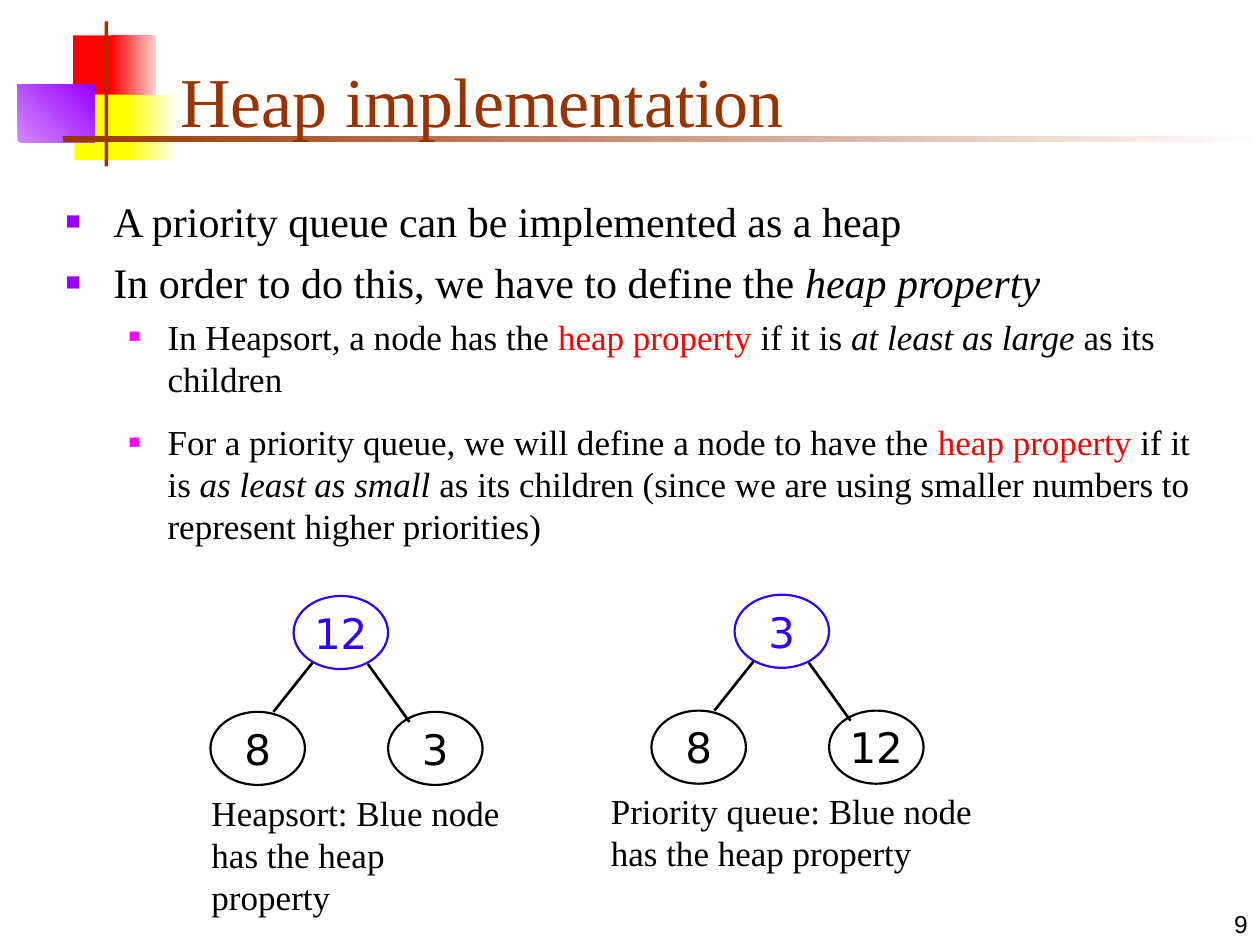
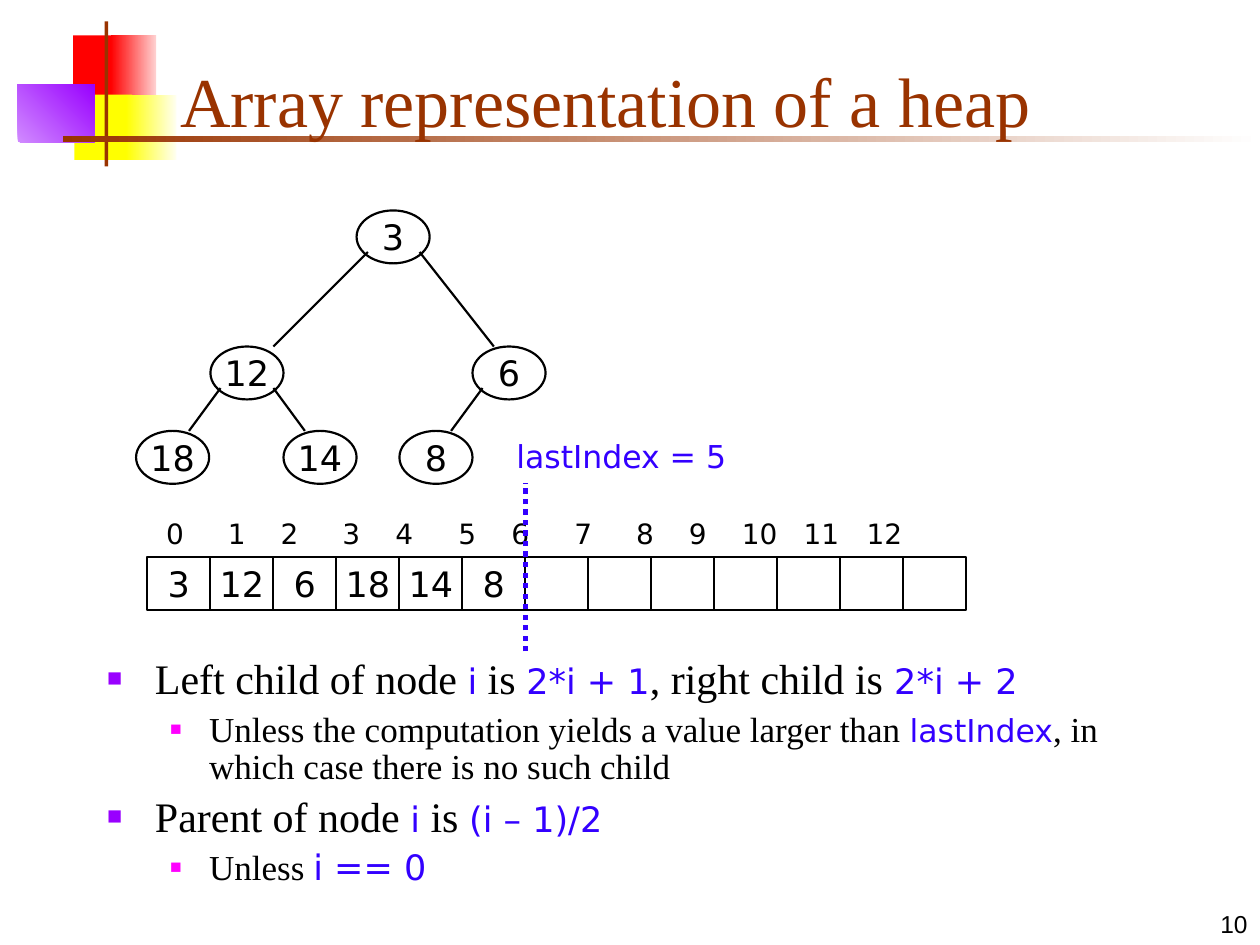
"""Builds two slides on heaps: the heap property and the array form."""
from dataclasses import dataclass
from lxml.etree import SubElement
from pptx import Presentation
from pptx.dml.color import RGBColor
from pptx.enum.dml import MSO_LINE
from pptx.enum.shapes import MSO_CONNECTOR, MSO_SHAPE
from pptx.enum.text import MSO_ANCHOR, MSO_AUTO_SIZE, PP_ALIGN
from pptx.oxml.ns import qn
from pptx.util import Inches, Pt


@dataclass(frozen=True)
class Theme:
    black: RGBColor = RGBColor.from_string("000000")
    brown: RGBColor = RGBColor.from_string("993300")
    blue: RGBColor = RGBColor.from_string("3300FF")
    red: RGBColor = RGBColor.from_string("FF0000")
    pink: RGBColor = RGBColor.from_string("FFD1D1")
    yellow: RGBColor = RGBColor.from_string("FFFF00")
    cream: RGBColor = RGBColor.from_string("FFFFF0")
    lilac: RGBColor = RGBColor.from_string("D18BFF")
    purple: RGBColor = RGBColor.from_string("9900FF")
    white: RGBColor = RGBColor.from_string("FFFFFF")
    serif: str = "Times New Roman"
    sans: str = "DejaVu Sans"
    plain: str = "Arial"
    title: int = 40
    large: int = 24
    mid: int = 20
    small: int = 18
    index: int = 16
    page: int = 14


theme = Theme()
styles = {
    "em": (None, None, None, True),
    "key": (None, None, theme.red, None),
    "code": (theme.sans, theme.mid, theme.blue, None),
    "name": (theme.sans, theme.small, theme.blue, None),
}
levels = [
    (0.38, -0.38, "9900FF", 60, theme.large),
    (0.81, -0.31, "FF00FF", 55, theme.mid),
]


def add_node(slide, kind, x, y, wide, high, text, size, color):
    node = slide.shapes.add_shape(kind, Inches(x), Inches(y), Inches(wide), Inches(high))
    node.shadow.inherit = False
    node.fill.background()
    node.line.color.rgb = color
    node.line.width = Pt(1.25)
    if text:
        frame = node.text_frame
        frame.word_wrap = False
        frame.vertical_anchor = MSO_ANCHOR.MIDDLE
        para = frame.paragraphs[0]
        para.text = text
        para.alignment = PP_ALIGN.CENTER
        para.font.name, para.font.size = theme.sans, Pt(size)
        para.font.color.rgb = color


def add_list(body, box, items, gaps, pitch):
    body.left, body.top, body.width, body.height = map(Inches, box)
    frame = body.text_frame
    frame.auto_size = MSO_AUTO_SIZE.NONE
    for n, (level, parts) in enumerate(items):
        para = frame.add_paragraph() if n else frame.paragraphs[0]
        left, hang, tint, scale, size = levels[level]
        para.level = level
        props = para._p.get_or_add_pPr()
        props.set("marL", str(Inches(left)))
        props.set("indent", str(Inches(hang)))
        SubElement(SubElement(props, qn("a:buClr")), qn("a:srgbClr")).set("val", tint)
        SubElement(props, qn("a:buSzPct")).set("val", str(scale * 1000))
        SubElement(props, qn("a:buChar")).set("char", "■")
        para.space_before = Pt(gaps[level] if n else 0)
        para.line_spacing = pitch
        para.font.name, para.font.size = theme.serif, Pt(size)
        para.font.color.rgb = theme.black
        for text, *style in parts:
            run = para.add_run()
            run.text = text
            if style:
                face, points, color, slant = styles[style[0]]
                run.font.name, run.font.italic = face, slant
                run.font.size = Pt(points) if points else None
                if color is not None:
                    run.font.color.rgb = color


deck = Presentation()
deck.slide_width, deck.slide_height = Inches(10), Inches(7.5)
heap = deck.slides.add_slide(deck.slide_layouts[3])
array = deck.slides.add_slide(deck.slide_layouts[1])

bands = [
    (0.58, 0.28, 0.35, 0.52, theme.red, None, 0),
    (0.88, 0.28, 0.36, 0.52, theme.red, theme.pink, 0),
    (0.59, 0.75, 0.46, 0.52, theme.yellow, None, 0),
    (1, 0.75, 0.4, 0.52, theme.yellow, theme.cream, 0),
    (0.14, 0.67, 0.61, 0.46, theme.lilac, theme.purple, 45),
    (0.83, 0.17, 0.03, 1.15, theme.brown, None, 0),
    (0.5, 1.08, 9.5, 0.05, theme.brown, theme.white, 0),
]
for n, (*box, start, end, angle) in enumerate(bands):
    band = heap.shapes.add_shape(MSO_SHAPE.RECTANGLE, *map(Inches, box))
    band.shadow.inherit = False
    band.line.fill.background()
    if end is None:
        band.fill.solid()
        band.fill.fore_color.rgb = start
    else:
        band.fill.gradient()
        band.fill.gradient_angle = angle
        for stop, color in zip(band.fill.gradient_stops, (start, end)):
            stop.color.rgb = color
    band.element.nvSpPr.cNvPr.set("id", str(20 + n))
    deck.slide_master.element.cSld.spTree.append(band.element)

for slide, text in ((heap, "Heap implementation"), (array, "Array representation of a heap")):
    title = slide.shapes.title
    title.left, title.top, title.width, title.height = map(Inches, (1.33, 0.25, 8.52, 0.92))
    frame = title.text_frame
    frame.auto_size = MSO_AUTO_SIZE.NONE
    frame.vertical_anchor = MSO_ANCHOR.BOTTOM
    para = frame.paragraphs[0]
    para.text = text
    para.alignment = PP_ALIGN.LEFT
    para.font.name, para.font.size = theme.serif, Pt(theme.title)
    para.font.color.rgb = theme.brown

add_list(heap.placeholders[1], (0.42, 1.5, 9.38, 1.79), [
    (0, [("A priority queue can be implemented as a heap",)]),
    (0, [("In order to do this, we have to define the ",), ("heap property", "em")]),
    (1, [("In Heapsort, a node has the ",), ("heap property", "key"), (" if it is ",),
         ("at least as large", "em"), (" as its children",)]),
], (6, 5), 1.0)
add_list(heap.placeholders[2], (0.42, 3.29, 9.29, 1.28), [
    (1, [("For a priority queue, we will define a node to have the ",),
         ("heap property", "key"), (" if it is ",), ("as least as small", "em"),
         (" as its children (since we are using smaller numbers to represent higher priorities)",)]),
], (6, 5), 1.0)
add_list(array.placeholders[1], (0.75, 5.17, 8.5, 2.08), [
    (0, [("Left child of node ",), ("i", "code"), (" is ",), ("2*i + 1", "code"),
         (", right child is",), (" 2*i + 2", "code")]),
    (1, [("Unless the computation yields a value larger than ",), ("lastIndex", "name"),
         (", in which case there is no such child",)]),
    (0, [("Parent of node ",), ("i", "code"), (" is ",), ("(i – 1)/2", "code")]),
    (1, [("Unless ",), ("i == 0", "code")]),
], (5, 5), 0.9)

lines = []
spots = [(0.66, 0, theme.blue), (0, 0.92, theme.black), (1.41, 0.92, theme.black)]
edges = [(0.81, 0.53, 0.5, 0.92), (1.25, 0.54, 1.58, 1)]
for left, top, keys in ((1.67, 4.73, ("12", "8", "3")), (5.17, 4.72, ("3", "8", "12"))):
    for (x, y, color), key in zip(spots, keys):
        add_node(heap, MSO_SHAPE.OVAL, left + x, top + y, 0.75, 0.58, key, theme.large, color)
    for x1, y1, x2, y2 in edges:
        lines.append((heap, left + x1, top + y1, left + x2, top + y2, theme.black, 1.5, None))

for x, y, key in ((2.83, 1.67, "3"), (1.67, 2.75, "12"), (3.75, 2.75, "6"),
                  (1.08, 3.42, "18"), (2.25, 3.42, "14"), (3.17, 3.42, "8")):
    add_node(array, MSO_SHAPE.OVAL, x, y, 0.58, 0.42, key, theme.mid, theme.black)
for ends in ((2.92, 2, 2.17, 2.75), (3.33, 2, 3.92, 2.75), (1.75, 3.08, 1.5, 3.42),
             (2.17, 3.08, 2.42, 3.42), (3.83, 3.08, 3.58, 3.42)):
    lines.append((array, *ends, theme.black, 1.25, None))
lines.append((array, 4.17, 5.17, 4.17, 3.83, theme.blue, 3, MSO_LINE.ROUND_DOT))

cells = ["3", "12", "6", "18", "14", "8"] + [""] * 7
for n, key in enumerate(cells):
    add_node(array, MSO_SHAPE.RECTANGLE, 1.17 + n * 0.5, 4.42, 0.5, 0.42, key,
             theme.mid, theme.black)

stops = [0.21, 0.7, 1.12, 1.61, 2.03, 2.53, 2.95, 3.45, 3.94, 4.36, 4.85, 5.34, 5.84]
count = "".join(f"\t{n}" for n in range(len(stops)))
labels = [
    (heap, (1.58, 6.23, 2.58, 1.1), "Heapsort: Blue node has the heap property",
     theme.serif, theme.mid, theme.black, ()),
    (heap, (4.75, 6.22, 3.17, 0.77), "Priority queue: Blue node has the heap property",
     theme.serif, theme.mid, theme.black, ()),
    (array, (1.08, 4.05, 6.92, 0.37), count, theme.sans, theme.index, theme.black, stops),
    (array, (4, 3.42, 2.08, 0.4), "lastIndex = 5", theme.sans, theme.small, theme.blue, ()),
    (heap, (7.92, 7, 2.08, 0.5), "9", theme.plain, theme.page, theme.black, ()),
    (array, (7.92, 7, 2.08, 0.5), "10", theme.plain, theme.page, theme.black, ()),
]
for slide, box, text, face, size, color, marks in labels:
    frame = slide.shapes.add_textbox(*map(Inches, box)).text_frame
    frame.word_wrap = True
    para = frame.paragraphs[0]
    para.text = text
    if marks:
        tabs = SubElement(para._p.get_or_add_pPr(), qn("a:tabLst"))
        for mark in marks:
            SubElement(tabs, qn("a:tab"), pos=str(Inches(mark)), algn="ctr")
    if face == theme.plain:
        frame.vertical_anchor = MSO_ANCHOR.BOTTOM
        para.alignment = PP_ALIGN.RIGHT
    para.font.name, para.font.size = face, Pt(size)
    para.font.color.rgb = color

for slide, x1, y1, x2, y2, color, width, dash in lines:
    line = slide.shapes.add_connector(MSO_CONNECTOR.STRAIGHT, *map(Inches, (x1, y1, x2, y2)))
    line.line.color.rgb = color
    line.line.width = Pt(width)
    if dash:
        line.line.dash_style = dash
    SubElement(line.element.spPr, qn("a:effectLst"))

deck.save("out.pptx")
